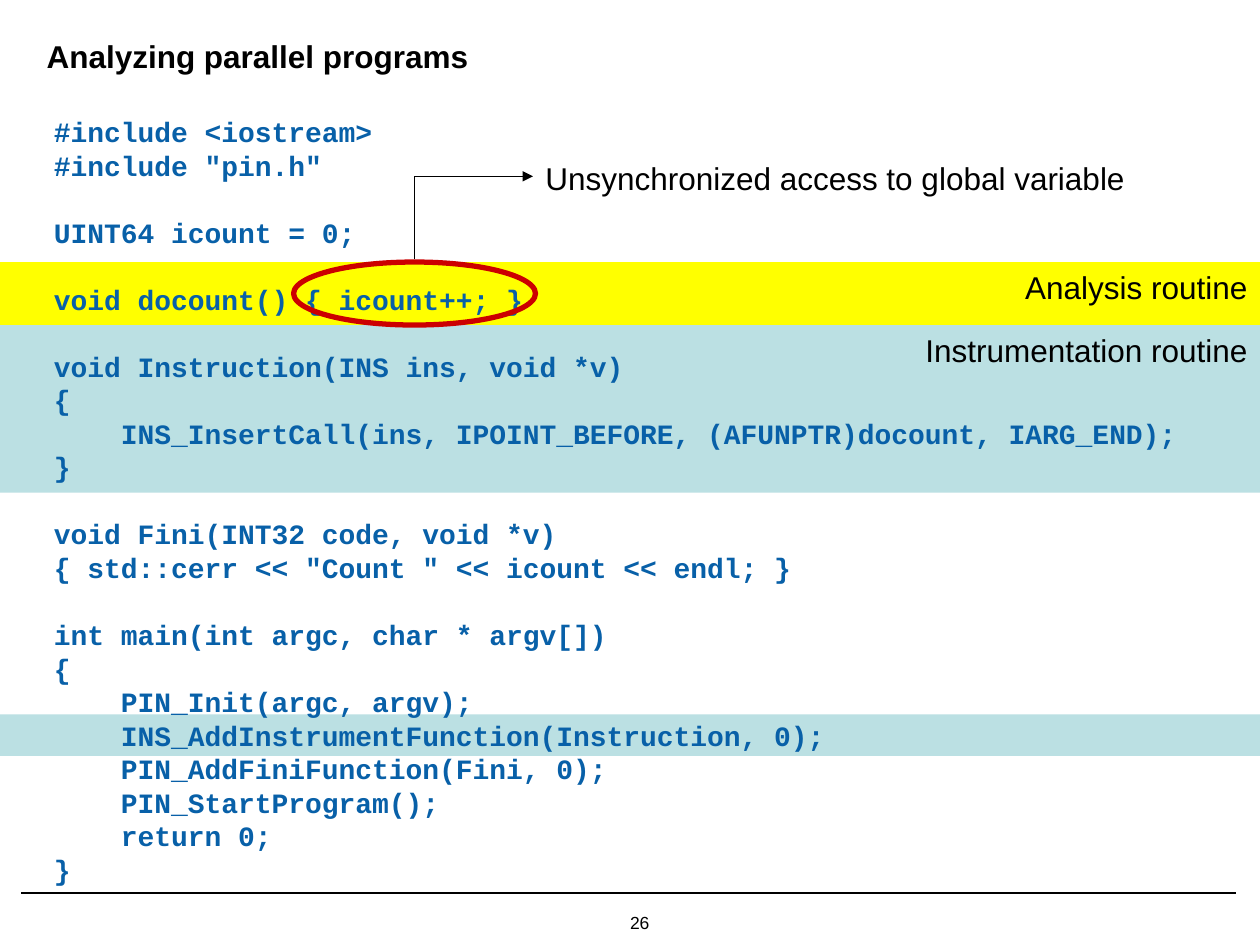
"""Build the slide on analyzing parallel programs with an annotated code listing."""
from pptx import Presentation
from pptx.dml.color import RGBColor
from pptx.enum.shapes import MSO_CONNECTOR as Link, MSO_SHAPE as Shape
from pptx.enum.text import MSO_ANCHOR as Anchor, PP_ALIGN as Align
from pptx.oxml.ns import qn
from pptx.util import Inches, Pt
from lxml.etree import SubElement


def color(value):
    return RGBColor.from_string(value)


def style(paragraph, size, face="Arial", tint="000000", bold=False):
    font = paragraph.font
    font.size, font.name, font.bold = Pt(size), face, bold
    font.color.rgb = color(tint)


CODE = '''#include <iostream>
#include "pin.h"

UINT64 icount = 0;

void docount() { icount++; }

void Instruction(INS ins, void *v)
{
    INS_InsertCall(ins, IPOINT_BEFORE, (AFUNPTR)docount, IARG_END);
}

void Fini(INT32 code, void *v)
{ std::cerr << "Count " << icount << endl; }

int main(int argc, char * argv[])
{
    PIN_Init(argc, argv);
    INS_AddInstrumentFunction(Instruction, 0);
    PIN_AddFiniFunction(Fini, 0);
    PIN_StartProgram();
    return 0;
}'''
LINE_PITCH = Pt(19.17)

prs = Presentation()
prs.slide_width, prs.slide_height = Inches(10), Inches(7.5)
slide = prs.slides.add_slide(prs.slide_layouts[5])
shapes = slide.shapes

title = shapes.title
title.left, title.top = Inches(0.27), Inches(0.21)
title.width, title.height = Inches(9.45), Inches(0.46)
title.text_frame.text = "Analyzing parallel programs"
title.text_frame.vertical_anchor = Anchor.MIDDLE
title.text_frame.paragraphs[0].alignment = Align.LEFT
style(title.text_frame.paragraphs[0], 18, bold=True)

for top, height, fill, label in [
    (5.67, 0.33, "BBE0E3", ""),
    (2.58, 1.33, "BBE0E3", "Instrumentation routine"),
    (2.08, 0.5, "FFFF00", "Analysis routine"),
]:
    band = shapes.add_shape(Shape.RECTANGLE, 0, Inches(top), Inches(10), Inches(height))
    band.shadow.inherit = False
    band.fill.solid()
    band.fill.fore_color.rgb = color(fill)
    band.line.fill.background()
    if label:
        band.text_frame.text = label
        band.text_frame.vertical_anchor = Anchor.TOP
        band.text_frame.paragraphs[0].alignment = Align.RIGHT
        style(band.text_frame.paragraphs[0], 18)

listing = shapes.add_textbox(Inches(0.33), Inches(0.83), Inches(9.17), Inches(6.23)).text_frame
listing.word_wrap = True
listing.margin_top = Inches(0.08)
for number, block in enumerate(CODE.split("\n\n")):
    for row, code_line in enumerate(block.split("\n")):
        first = number == 0 and row == 0
        paragraph = listing.paragraphs[0] if first else listing.add_paragraph()
        paragraph.text = code_line
        paragraph.line_spacing = LINE_PITCH
        if number and row == 0:
            paragraph.space_before = LINE_PITCH
        style(paragraph, 16, "Courier New", "0860A8", True)

highlight = shapes.add_shape(Shape.OVAL, Inches(2.33), Inches(2.08), Inches(1.92), Inches(0.5))
highlight.shadow.inherit = False
highlight.fill.background()
highlight.line.color.rgb = color("CC0000")
highlight.line.width = Pt(3)

warning = shapes.add_textbox(Inches(4.23), Inches(1.21), Inches(4.8), Inches(0.4)).text_frame
warning.text = "Unsynchronized access to global variable"
style(warning.paragraphs[0], 18)

page_number = shapes.add_textbox(Inches(5), Inches(7.24), Inches(0.31), Inches(0.17)).text_frame
page_number.margin_left = page_number.margin_right = 0
page_number.margin_top = page_number.margin_bottom = 0
page_number.text = "26"
style(page_number.paragraphs[0], 10)

footer_rule = shapes.add_connector(
    Link.STRAIGHT, Inches(0.17), Inches(7.09), Inches(9.81), Inches(7.09))
pointer = shapes.add_connector(
    Link.ELBOW, Inches(4.09), Inches(2.2), Inches(3.43), Inches(1.26))
for stroke, width in [(footer_rule, 1), (pointer, 0.75)]:
    stroke.line.color.rgb = color("000000")
    stroke.line.width = Pt(width)

pointer_props = pointer._element.spPr
pointer_props.find(qn("a:xfrm")).set("rot", "5400000")
pointer_props.find(qn("a:prstGeom")).set("prst", "bentConnector2")
SubElement(pointer_props.find(qn("a:ln")), qn("a:tailEnd"), type="triangle")
for stroke in (footer_rule, pointer):
    SubElement(stroke._element.spPr, qn("a:effectLst"))

prs.save("out.pptx")
